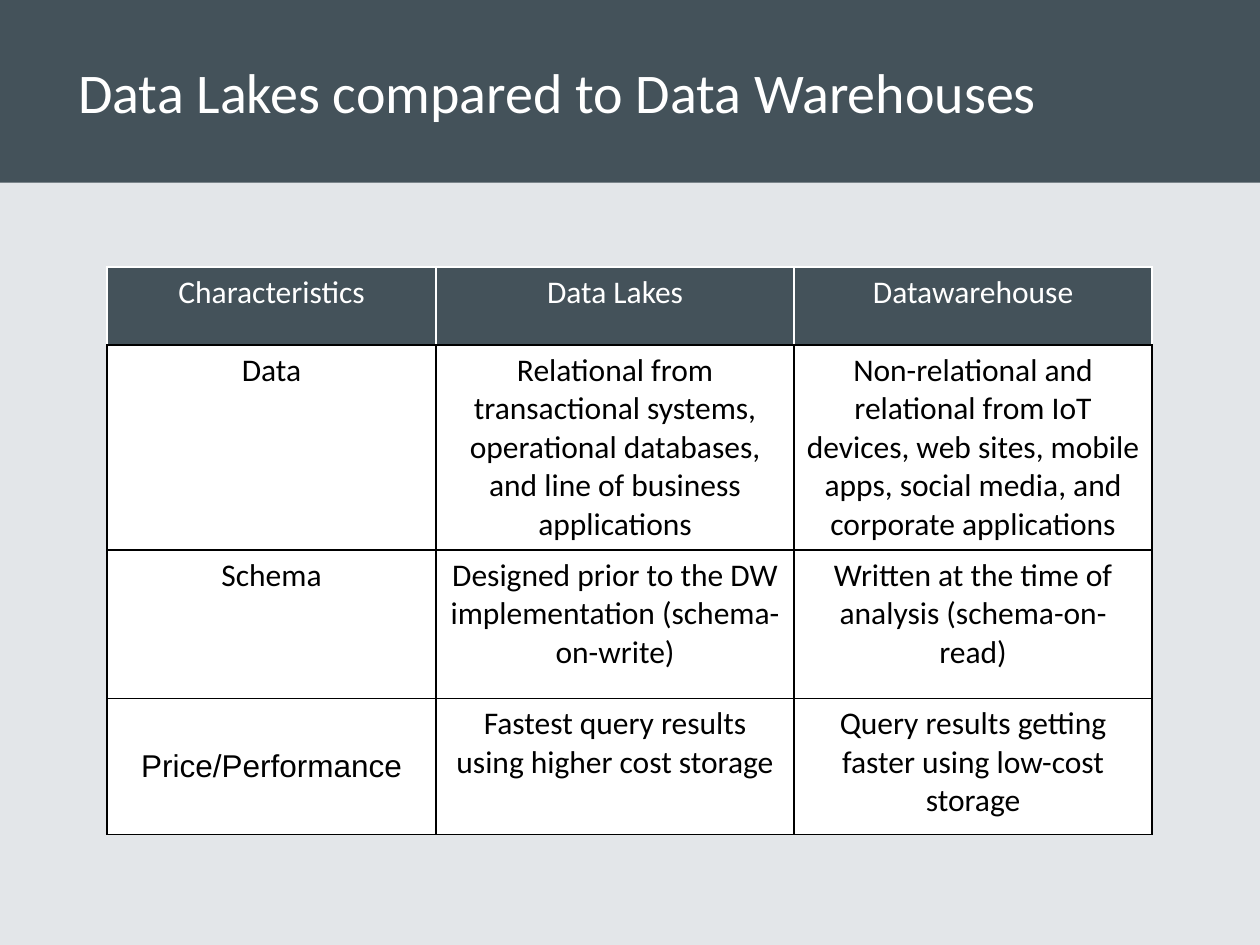
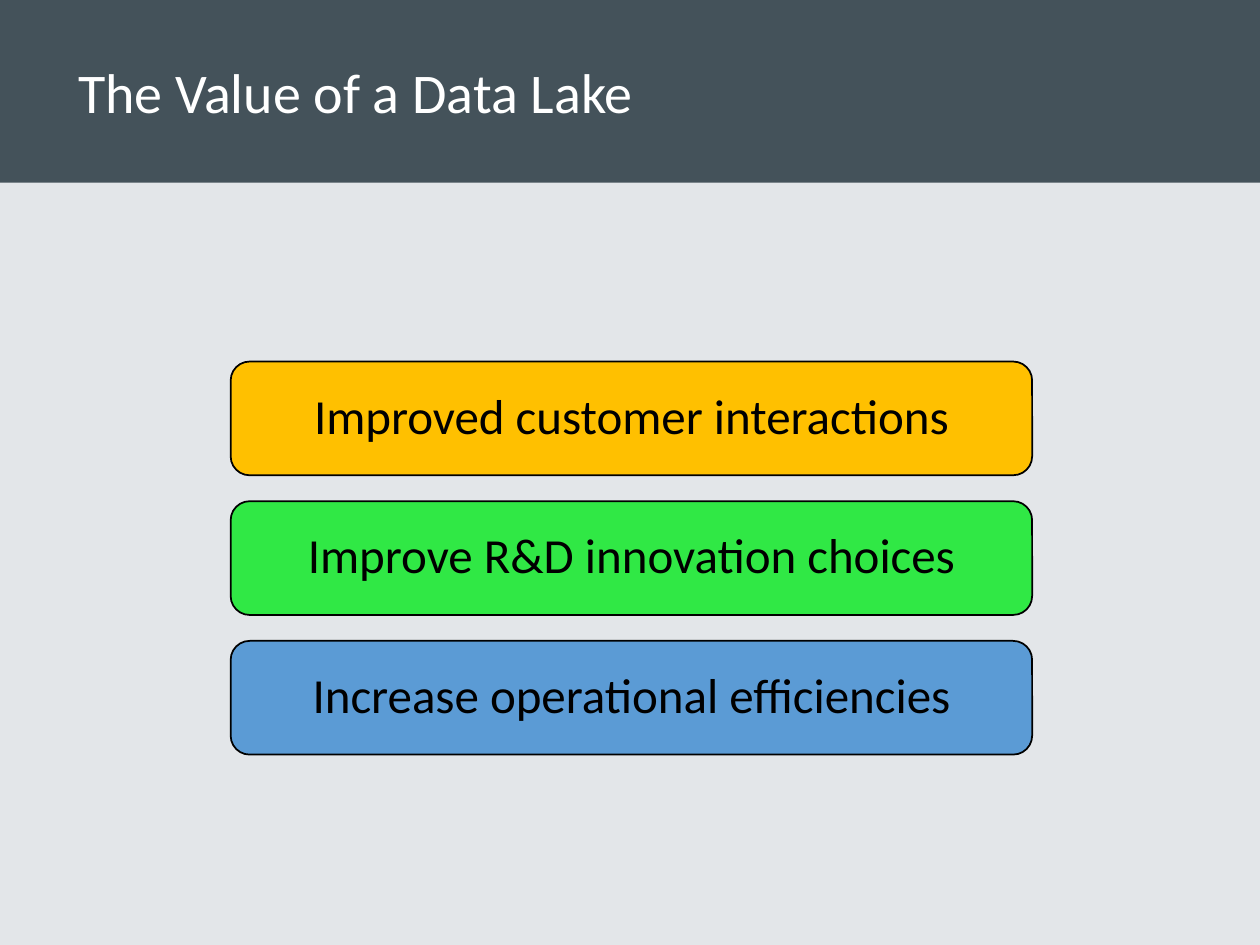
from lxml import etree
from pptx import Presentation
from pptx.dml.color import RGBColor
from pptx.enum.shapes import MSO_SHAPE
from pptx.enum.text import MSO_ANCHOR, MSO_AUTO_SIZE, PP_ALIGN
from pptx.oxml.ns import qn
from pptx.util import Pt

RECT, ROUND_RECT = MSO_SHAPE.RECTANGLE, MSO_SHAPE.ROUNDED_RECTANGLE
LEFT, CENTER = PP_ALIGN.LEFT, PP_ALIGN.CENTER
TOP, MIDDLE = MSO_ANCHOR.TOP, MSO_ANCHOR.MIDDLE
NO_AUTOFIT = MSO_AUTO_SIZE.NONE

COLORS = {
    "background": "E3E6E9",
    "slate": "44525A",
    "white": "FFFFFF",
    "black": "000000",
    "amber": "FFC000",
    "green": "30E845",
    "blue": "5B9BD5",
}
FONT = "Calibri"
SLIDE_W, SLIDE_H = 720, 540
BAND_H = 104.4
TITLE_X = 37.5

COMPARISON = [
    ["Characteristics", "Data Lakes", "Datawarehouse"],
    ["Data",
     "Relational from transactional systems, operational databases, "
     "and line of business applications",
     "Non-relational and relational from IoT devices, web sites, mobile "
     "apps, social media, and corporate applications"],
    ["Schema",
     "Designed prior to the DW implementation (schema-on-write)",
     "Written at the time of analysis (schema-on-read)"],
    ["Price/Performance",
     "Fastest query results using higher cost storage",
     "Query results getting faster using low-cost storage"],
]
COLUMN_WIDTHS = [188, 204.6, 204.6]
ROW_HEIGHTS = [44.6, 117, 84.8, 77.8]

BENEFITS = [
    ("Improved customer interactions", "amber"),
    ("Improve R&D innovation choices", "green"),
    ("Increase operational efficiencies", "blue"),
]


def rgb(name):
    return RGBColor.from_string(COLORS[name])


def write(tf, text, size, color, align=CENTER, font=FONT):
    p = tf.paragraphs[0]
    p.alignment = align
    r = p.add_run()
    r.text = text
    r.font.name = font
    r.font.size = Pt(size)
    r.font.color.rgb = rgb(color)
    return p


def add_box(slide, kind, x, y, w, h, fill, line=None):
    sp = slide.shapes.add_shape(kind, Pt(x), Pt(y), Pt(w), Pt(h))
    sp.shadow.inherit = False
    sp.fill.solid()
    sp.fill.fore_color.rgb = rgb(fill)
    if line:
        sp.line.color.rgb = rgb(line)
        sp.line.width = Pt(1)
    else:
        sp.line.fill.background()
    return sp


def add_titled_slide(prs, text):
    slide = prs.slides.add_slide(prs.slide_layouts[5])
    slide.background.fill.solid()
    slide.background.fill.fore_color.rgb = rgb("background")

    # Band goes behind the title
    band = add_box(slide, RECT, 0, 0, SLIDE_W, BAND_H, "slate")
    title = slide.shapes.title
    title._element.addprevious(band._element)

    title.left, title.top = Pt(TITLE_X), Pt(0)
    title.width, title.height = Pt(SLIDE_W - TITLE_X), Pt(BAND_H)
    tf = title.text_frame
    tf.auto_size = NO_AUTOFIT
    tf.vertical_anchor = MIDDLE
    write(tf, text, 32, "white", LEFT)
    return slide


def set_borders(cell, sides, bottom):
    tcPr = cell._tc.get_or_add_tcPr()
    for tag, color in zip(("lnL", "lnR", "lnT", "lnB"),
                          (sides, sides, sides, bottom)):
        ln = etree.SubElement(tcPr, qn("a:" + tag), w=str(Pt(1)))
        fill = etree.SubElement(ln, qn("a:solidFill"))
        etree.SubElement(fill, qn("a:srgbClr"), val=COLORS[color])


def style_cell(cell, text, is_header):
    set_borders(cell, "white" if is_header else "black", "black")
    cell.fill.solid()
    cell.fill.fore_color.rgb = rgb("slate" if is_header else "white")
    cell.vertical_anchor = TOP
    write(cell.text_frame, text, 18, "white" if is_header else "black")


def add_comparison_table(slide, x, y):
    table = slide.shapes.add_table(
        len(ROW_HEIGHTS), len(COLUMN_WIDTHS), Pt(x), Pt(y),
        Pt(sum(COLUMN_WIDTHS)), Pt(sum(ROW_HEIGHTS))).table
    table.horz_banding = False
    for column, width in zip(table.columns, COLUMN_WIDTHS):
        column.width = Pt(width)
    for i, (row, height) in enumerate(zip(table.rows, ROW_HEIGHTS)):
        row.height = Pt(height)
        for cell, text in zip(row.cells, COMPARISON[i]):
            style_cell(cell, text, i == 0)

    # The last row label is set apart from the other cells
    label = table.cell(len(ROW_HEIGHTS) - 1, 0)
    label.vertical_anchor = MIDDLE
    label.margin_left = label.margin_right = Pt(4.5)
    label.margin_top = label.margin_bottom = Pt(4.5)
    label.text_frame.paragraphs[0].runs[0].font.name = "Arial"


def add_benefit_cards(slide, x, y, w, h, pitch):
    for i, (text, color) in enumerate(BENEFITS):
        sp = add_box(slide, ROUND_RECT, x, y + i * pitch, w, h, color, "black")
        tf = sp.text_frame
        tf.word_wrap = True
        tf.vertical_anchor = MIDDLE
        p = write(tf, text, 28, "black")
        p.line_spacing = 0.9


def main():
    prs = Presentation()
    prs.slide_width, prs.slide_height = Pt(SLIDE_W), Pt(SLIDE_H)

    # Comparison table
    slide = add_titled_slide(prs, "Data Lakes compared to Data Warehouses")
    add_comparison_table(slide, 61.2, 152.6)

    # Benefit cards
    slide = add_titled_slide(prs, "The Value of a Data Lake")
    add_benefit_cards(slide, x=131.8, y=206.6, w=458, h=65, pitch=79.8)

    prs.save("out.pptx")


if __name__ == "__main__":
    main()
